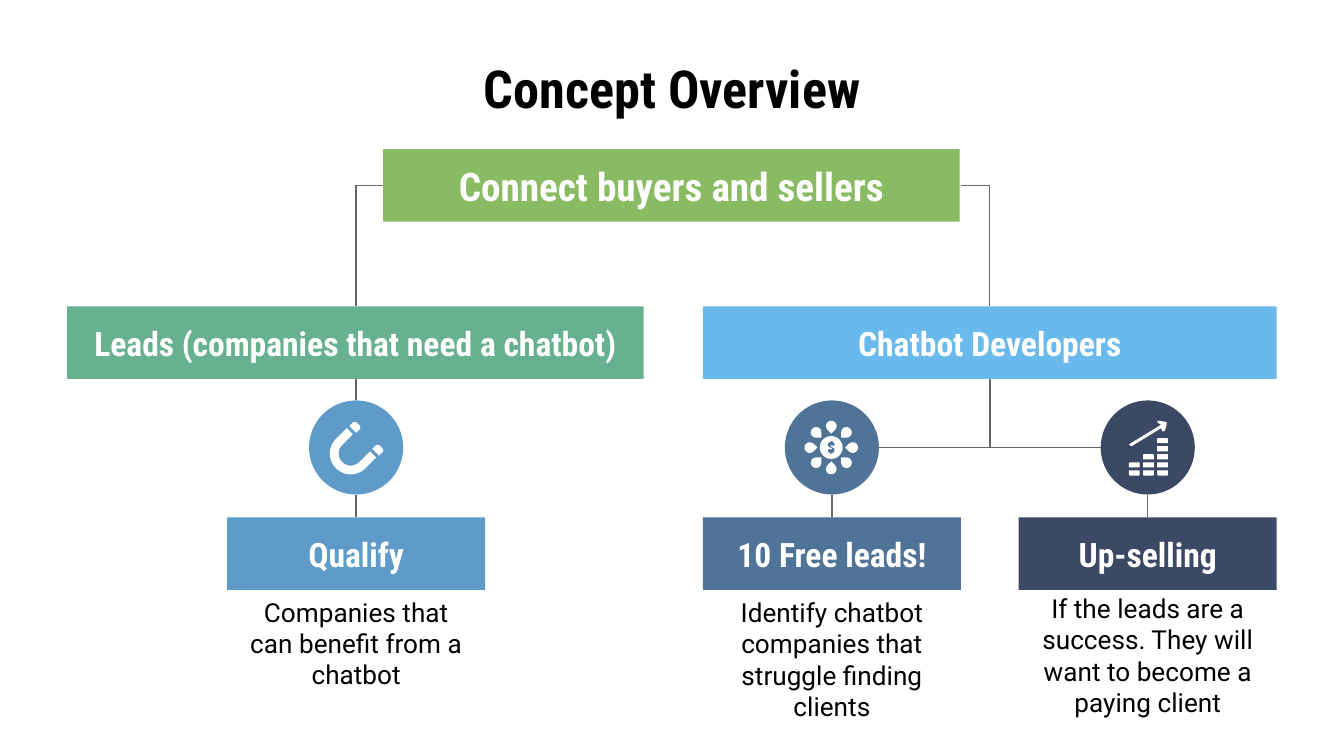
from math import cos, sin, radians
from pptx import Presentation
from pptx.dml.color import RGBColor
from pptx.enum.shapes import MSO_CONNECTOR, MSO_SHAPE
from pptx.enum.text import MSO_ANCHOR, PP_ALIGN
from pptx.oxml.ns import qn
from pptx.util import Inches, Pt
from lxml.etree import SubElement

COLORS = {
    "black": "000000", "white": "FFFFFF", "line": "666666",
    "green": "89BB63", "teal": "67B190", "sky": "69B9EC",
    "blue": "5F9BC9", "steel": "4F7498", "navy": "3C4964",
}
CELL = Inches(0.1)
COLUMNS, ROWS = 100, 56.25

presentation = Presentation()
presentation.slide_width = int(COLUMNS * CELL)
presentation.slide_height = int(ROWS * CELL)
slide = presentation.slides.add_slide(presentation.slide_layouts[6])
shapes = slide.shapes


def add_block(kind, left, top, width, height, fill=None, text="", size=18,
              font="Roboto Condensed", color="white", bold=True):
    frame = [int(value * CELL) for value in (left, top, width, height)]
    if kind is None:
        shape = shapes.add_textbox(*frame)
    else:
        shape = shapes.add_shape(kind, *frame)
        shape.shadow.inherit = False
        shape.fill.solid()
        shape.fill.fore_color.rgb = RGBColor.from_string(COLORS[fill])
        shape.line.fill.background()
    if text:
        text_frame = shape.text_frame
        text_frame.word_wrap = True
        text_frame.vertical_anchor = MSO_ANCHOR.MIDDLE
        text_frame.margin_left = text_frame.margin_right = CELL
        text_frame.margin_top = text_frame.margin_bottom = CELL
        text_frame.text = text
        paragraph = text_frame.paragraphs[0]
        paragraph.alignment = PP_ALIGN.CENTER
        run_font = paragraph.runs[0].font
        run_font.name, run_font.size, run_font.bold = font, Pt(size), bold
        run_font.color.rgb = RGBColor.from_string(COLORS[color])
    return shape


def add_outline(points, fill="white"):
    corners = [(int(x * CELL), int(y * CELL)) for x, y in points]
    builder = shapes.build_freeform(*corners[0])
    builder.add_line_segments(corners[1:], close=True)
    shape = builder.convert_to_shape()
    shape.shadow.inherit = False
    shape.fill.solid()
    shape.fill.fore_color.rgb = RGBColor.from_string(COLORS[fill])
    shape.line.fill.background()


LEADS, FREE, UPSELL = 26.5, 61.9, 85.4
DEVELOPERS = (FREE + UPSELL) / 2
BAR_HEIGHT = 5.4
ROOT_TOP, GROUP_TOP, BRANCH_TOP = 11.1, 22.8, 38.5
CIRCLE_TOP, CIRCLE_SIZE = 29.8, 7
CIRCLE_MIDDLE = CIRCLE_TOP + CIRCLE_SIZE / 2
ROOT_MIDDLE = ROOT_TOP + BAR_HEIGHT / 2
GROUP_BOTTOM = GROUP_TOP + BAR_HEIGHT

add_block(None, 5, 4.5, 90, 4.1, text="Concept Overview", size=28, color="black")

bars = [
    (28.5, ROOT_TOP, 42.9, "green", "Connect buyers and sellers", 21),
    (5, GROUP_TOP, 42.9, "teal", "Leads (companies that need a chatbot)", 18),
    (52.3, GROUP_TOP, 42.7, "sky", "Chatbot Developers", 18),
]
for left, top, width, fill, label, size in bars:
    add_block(MSO_SHAPE.RECTANGLE, left, top, width, BAR_HEIGHT, fill, label, size)

connections = [
    (28.5, ROOT_MIDDLE, LEADS, GROUP_TOP),
    (71.5, ROOT_MIDDLE, DEVELOPERS, GROUP_TOP),
    (FREE + CIRCLE_SIZE / 2, CIRCLE_MIDDLE, DEVELOPERS, GROUP_BOTTOM),
    (UPSELL - CIRCLE_SIZE / 2, CIRCLE_MIDDLE, DEVELOPERS, GROUP_BOTTOM),
    (LEADS, GROUP_BOTTOM, LEADS, CIRCLE_TOP),
]
for center in (LEADS, FREE, UPSELL):
    connections.append((center, CIRCLE_TOP + CIRCLE_SIZE, center, BRANCH_TOP))
for x1, y1, x2, y2 in connections:
    kind = MSO_CONNECTOR.STRAIGHT if x1 == x2 else MSO_CONNECTOR.ELBOW
    connector = shapes.add_connector(kind, *[int(v * CELL) for v in (x1, y1, x2, y2)])
    connector.line.color.rgb = RGBColor.from_string(COLORS["line"])
    connector.line.width = Pt(0.75)
    properties = connector._element.spPr
    SubElement(properties, qn("a:effectLst"))
    if x1 != x2:
        properties.find(qn("a:prstGeom")).set("prst", "bentConnector2")

branches = [
    (LEADS, "blue", "Qualify", 43.9, "Companies that can benefit from a chatbot"),
    (FREE, "steel", "10 Free leads!", 45.1,
     "Identify chatbot companies that struggle finding clients"),
    (UPSELL, "navy", "Up-selling", 44.8,
     "If the leads are a success. They will want to become a paying client"),
]
BRANCH_WIDTH = 19.2
for center, fill, label, text_top, description in branches:
    left = center - BRANCH_WIDTH / 2
    add_block(MSO_SHAPE.RECTANGLE, left, BRANCH_TOP, BRANCH_WIDTH, BAR_HEIGHT, fill, label)
    add_block(None, left, text_top, BRANCH_WIDTH, 7.9, text=description, size=14,
              font="Roboto", color="black", bold=False)
    add_block(MSO_SHAPE.OVAL, center - CIRCLE_SIZE / 2, CIRCLE_TOP,
              CIRCLE_SIZE, CIRCLE_SIZE, fill)

magnet_x, magnet_y = 26.1, 33.75
arcs = [
    [(magnet_x + radius * cos(radians(angle)), magnet_y + radius * sin(radians(angle)))
     for angle in range(45, 226, 10)]
    for radius in (1.55, 0.9)
]
outer, inner = arcs
leg_ends = [(x + 0.8, y - 0.8) for x, y in (outer[-1], inner[-1], inner[0], outer[0])]
add_outline(outer + leg_ends[:2] + inner[::-1] + leg_ends[2:])
for shift in (0, 1.7):
    tip = [(26, 31.7), (26.5, 32.2), (26.8, 31.9), (26.8, 31.7), (26.5, 31.4), (26.3, 31.4)]
    add_outline([(x + shift, y + shift) for x, y in tip])

for column, count in enumerate((2, 3, 5)):
    for level in range(count):
        rounded = level in (0, count - 1)
        kind = MSO_SHAPE.ROUND_2_SAME_RECTANGLE if rounded else MSO_SHAPE.RECTANGLE
        coin = add_block(kind, 84 + 1.05 * column, 35 - 0.6 * level, 0.8, 0.38, "white")
        coin.rotation = 180 if level == 0 else 0
add_outline([
    (86.2, 31.3), (86.8, 31.4), (86.8, 31.6), (86.7, 32), (86.6, 32.1), (86.5, 32.1),
    (86.4, 31.9), (86.5, 31.8), (84.2, 33.2), (84, 33.1), (84.1, 33), (86.4, 31.6),
    (86.2, 31.5), (86.1, 31.4),
])

hub_x, hub_y = 61.85, 33.3
for angle in range(0, 360, 45):
    x = hub_x + 1.6 * cos(radians(angle))
    y = hub_y + 1.6 * sin(radians(angle))
    person = add_block(MSO_SHAPE.TEAR, x - 0.4, y - 0.4, 0.8, 0.8, "white")
    person.rotation = (angle + 225) % 360
add_block(MSO_SHAPE.OVAL, hub_x - 0.85, hub_y - 0.85, 1.7, 1.7, "white")
half_coin_mark = [
    (0.1, -0.5), (0.1, -0.4), (0.25, -0.3), (0.2, -0.12), (-0.05, -0.15), (-0.05, -0.05),
    (0.2, 0.05), (0.25, 0.2), (0.2, 0.35), (0.1, 0.4),
]
coin_mark = half_coin_mark + [(-x, -y) for x, y in half_coin_mark]
add_outline([(hub_x + x, hub_y + y) for x, y in coin_mark], "steel")

presentation.save("out.pptx")
